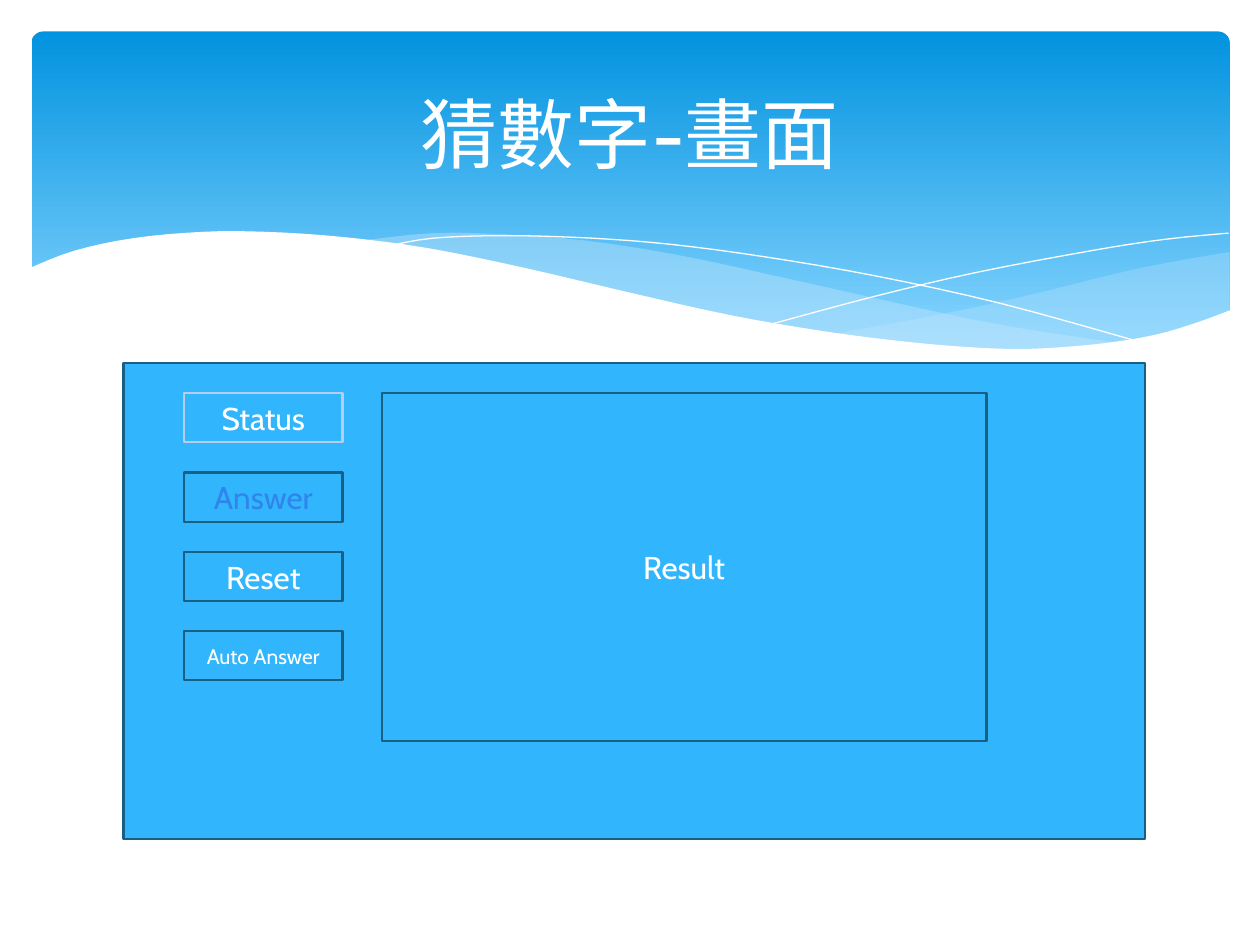
from lxml import etree
from pptx import Presentation
from pptx.dml.color import RGBColor
from pptx.enum.shapes import MSO_SHAPE
from pptx.enum.text import MSO_ANCHOR, PP_ALIGN
from pptx.oxml.ns import qn
from pptx.util import Inches, Pt

RECTANGLE = MSO_SHAPE.RECTANGLE
ROUNDED = MSO_SHAPE.ROUNDED_RECTANGLE
MIDDLE = MSO_ANCHOR.MIDDLE
CENTER = PP_ALIGN.CENTER

WHITE, BLUE, NAVY, PALE = "FFFFFF", "31B6FD", "195F84", "C6E7FC"
CURVE_STEPS = 4

RIGHT_SWELL = [
    [(6.36, 2.4), (7.04, 2.28), (7.8, 2.12), (8.66, 1.91), (9.1, 1.82), (9.51, 1.75)],
    [(9.51, 2.22), (9.1, 2.37), (8.64, 2.47), (8.1, 2.52), (7.44, 2.52), (6.94, 2.47),
     (6.36, 2.4)],
]
MIDDLE_SWELL = [
    [(2.61, 1.66), (3.19, 1.6), (3.74, 1.61), (4.4, 1.66), (5.16, 1.78), (6.04, 1.97),
     (7.16, 2.22), (7.82, 2.35), (8.68, 2.48)],
    [(8.68, 2.48), (8.13, 2.53), (7.6, 2.52), (6.97, 2.47), (6.25, 2.39), (5.41, 2.23),
     (4.24, 1.97), (3.58, 1.82), (3.17, 1.74), (2.61, 1.66)],
]
FALLING_LINE = [
    [(2.84, 1.7), (3.19, 1.64), (3.76, 1.62), (4.44, 1.64), (5.08, 1.69), (5.83, 1.79),
     (6.7, 1.94), (7.7, 2.16), (8.82, 2.47)],
]
RISING_LINE = [
    [(5.88, 2.32), (6.7, 2.1), (7.51, 1.91), (8.41, 1.74), (8.99, 1.65), (9.5, 1.6)],
]
WHITE_WAVE = [
    [(-0.02, 1.88), (0.34, 1.74), (0.81, 1.64), (1.36, 1.59), (1.86, 1.59), (2.46, 1.63),
     (3.15, 1.72), (3.93, 1.88), (4.78, 2.08), (5.54, 2.25), (6.23, 2.37), (6.83, 2.45),
     (7.36, 2.5), (7.84, 2.52), (8.25, 2.5), (8.62, 2.46), (8.95, 2.4), (9.25, 2.31),
     (9.52, 2.21)],
    [(9.52, 3.04), (-0.02, 3.04)],
]


def color(value):
    """Return the colour for a hex string."""
    return RGBColor.from_string(value)


def smooth_edge(knots):
    """Return points on a Catmull-Rom curve through the knots."""
    padded = [knots[0], *knots, knots[-1]]
    points = []
    for a, b, c, d in zip(padded, padded[1:], padded[2:], padded[3:]):
        for step in range(CURVE_STEPS):
            t = step / CURVE_STEPS
            points.append(tuple(
                (2 * q + (r - p) * t + (2 * p - 5 * q + 4 * r - s) * t ** 2
                 + (3 * q - p - 3 * r + s) * t ** 3) / 2
                for p, q, r, s in zip(a, b, c, d)))
    return points + [knots[-1]]


def add_curve(slide, box, edges, fill=None, opacity=100):
    """Add a filled wave, or an open white hairline when no fill is given."""
    left, top = box[:2]
    points = [(Inches(left + x), Inches(top + y))
              for edge in edges for x, y in smooth_edge(edge)]
    builder = slide.shapes.build_freeform(*points[0], scale=1.0)
    builder.add_line_segments(points[1:], close=fill is not None)
    shape = builder.convert_to_shape()
    shape.shadow.inherit = False
    if fill is None:
        shape.fill.background()
        shape.line.color.rgb = color(WHITE)
        shape.line.width = Pt(0)
        return
    shape.fill.solid()
    shape.fill.fore_color.rgb = color(fill)
    shape.line.fill.background()
    if opacity < 100:
        rgb = shape.fill._xPr.find(qn("a:solidFill")).find(qn("a:srgbClr"))
        etree.SubElement(rgb, qn("a:alpha"), val=str(opacity * 1000))


def write_text(shape, text, size, font_color=WHITE):
    """Write one centred line into a shape."""
    frame = shape.text_frame
    for name, value in {"word_wrap": True, "vertical_anchor": MIDDLE}.items():
        setattr(frame, name, value)
    paragraph = frame.paragraphs[0]
    paragraph.alignment = CENTER
    run = paragraph.add_run()
    run.text = text
    for name, value in {"name": "Cabin", "size": Pt(size)}.items():
        setattr(run.font, name, value)
    run.font.color.rgb = color(font_color)


def add_box(slide, box, line=NAVY):
    """Add a blue outlined rectangle."""
    shape = slide.shapes.add_shape(RECTANGLE, *map(Inches, box))
    shape.shadow.inherit = False
    shape.fill.solid()
    shape.fill.fore_color.rgb = color(BLUE)
    shape.line.color.rgb = color(line)
    shape.line.width = Pt(1.25)
    return shape


def add_banner(slide, box):
    """Add the gradient banner with its waves and title."""
    left, top, width, height = box
    banner = slide.shapes.add_shape(ROUNDED, *map(Inches, box))
    banner.adjustments[0] = 0.034
    banner.shadow.inherit = False
    banner.line.fill.background()
    banner.fill.gradient()
    banner.fill.gradient_angle = 270
    stops = zip(banner.fill.gradient_stops, [(0, "0293E0"), (0.9, "83D3FE")])
    for stop, (position, value) in stops:
        stop.position = position
        stop.color.rgb = color(value)
    add_curve(slide, box, RIGHT_SWELL, PALE, 29)
    add_curve(slide, box, MIDDLE_SWELL, PALE, 40)
    add_curve(slide, box, FALLING_LINE)
    add_curve(slide, box, RISING_LINE)
    add_curve(slide, box, WHITE_WAVE, WHITE)
    title_box = (left + 0.25, top + 0.12, 9, 1.37)
    title = slide.shapes.add_textbox(*map(Inches, title_box))
    write_text(title, "猜數字-畫面", 44)


def add_game_panel(slide, box):
    """Add the game window with its button column and result area."""
    left, top = box[:2]
    add_box(slide, box)
    buttons = [
        ("Status", 18, WHITE, "B5CEED"),
        ("Answer", 18, "3085ED", NAVY),
        ("Reset", 18, WHITE, NAVY),
        ("Auto Answer", 12, WHITE, NAVY),
    ]
    for row, (text, size, font_color, line) in enumerate(buttons):
        button_box = (left + 0.48, top + 0.24 + row * 0.63, 1.26, 0.39)
        write_text(add_box(slide, button_box, line), text, size, font_color)
    result = add_box(slide, (left + 2.05, top + 0.24, 4.8, 2.76))
    write_text(result, "Result", 18)


def main():
    """Build and save the slide."""
    presentation = Presentation()
    presentation.slide_width = Inches(10)
    presentation.slide_height = Inches(7.5)
    slide = presentation.slides.add_slide(presentation.slide_layouts[6])
    add_banner(slide, (0.25, 0.25, 9.51, 2.7))
    add_game_panel(slide, (0.98, 2.88, 8.11, 3.78))
    presentation.save("out.pptx")


if __name__ == "__main__":
    main()
